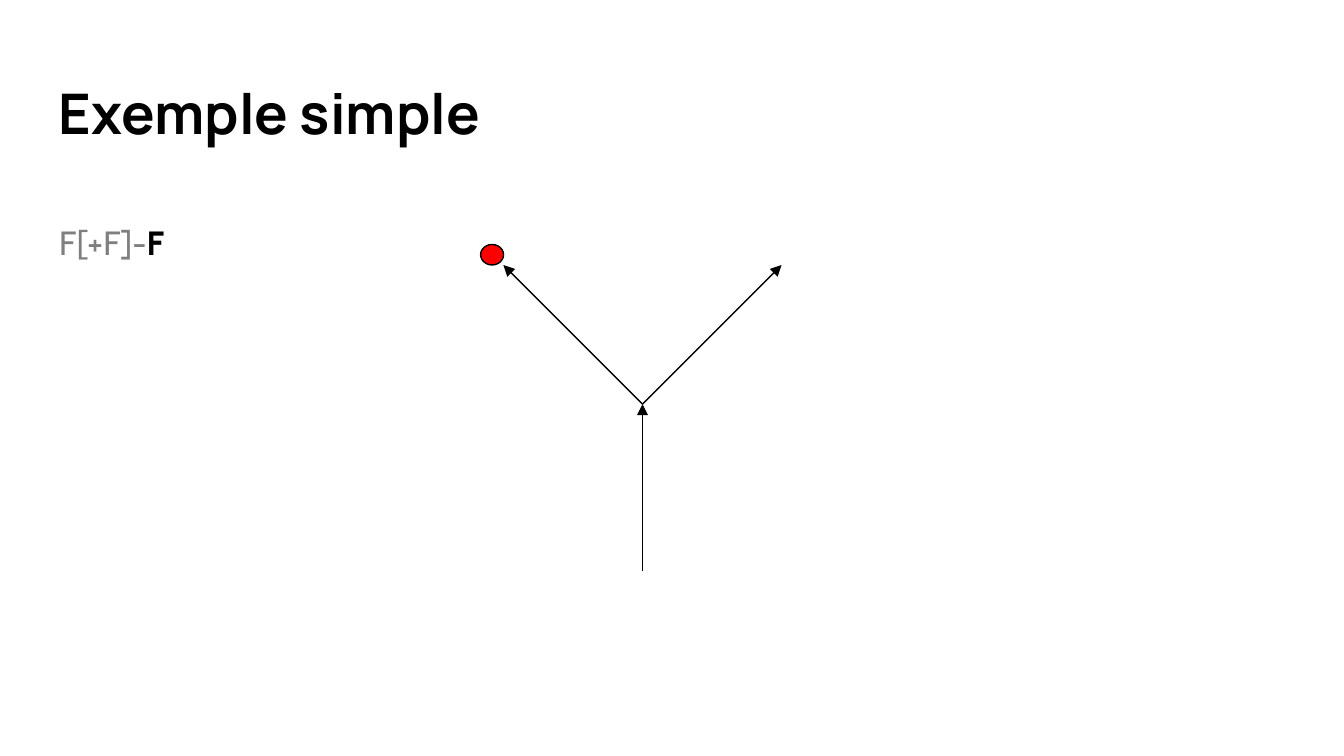
from dataclasses import dataclass

from pptx import Presentation
from pptx.dml.color import RGBColor
from pptx.enum.shapes import MSO_CONNECTOR, MSO_SHAPE
from pptx.enum.text import MSO_ANCHOR, PP_ALIGN
from pptx.oxml.ns import qn
from pptx.util import Pt

COLORS = {"ink": "000000", "done": "7F7F7F", "turtle": "FF0000"}
LINE_WIDTH = 0.75


@dataclass
class Run:
    text: str
    color: str = "ink"
    bold: bool = False


@dataclass
class TextBlock:
    top: float
    height: float
    font: str
    size: float
    runs: list[Run]
    anchor: MSO_ANCHOR = MSO_ANCHOR.TOP
    line_spacing: float = 1.0
    space_after: float = 0


@dataclass
class Segment:
    start: tuple[float, float]
    end: tuple[float, float]


def rgb(name: str) -> RGBColor:
    return RGBColor.from_string(COLORS[name])


def add_text(s, block: TextBlock) -> None:
    sp = s.shapes.add_textbox(Pt(24.5), Pt(block.top), Pt(671), Pt(block.height))
    tf = sp.text_frame
    tf.word_wrap = True
    tf.vertical_anchor = block.anchor
    tf.margin_left = tf.margin_right = tf.margin_top = tf.margin_bottom = Pt(7.2)
    p = tf.paragraphs[0]
    p.alignment = PP_ALIGN.LEFT
    p.line_spacing = block.line_spacing
    p.space_after = Pt(block.space_after)
    p.font.name = block.font
    p.font.size = Pt(block.size)
    for run in block.runs:
        r = p.add_run()
        r.text = run.text
        r.font.bold = run.bold
        r.font.color.rgb = rgb(run.color)


def add_arrow(s, segment: Segment) -> None:
    points = [Pt(v) for v in (*segment.start, *segment.end)]
    sp = s.shapes.add_connector(MSO_CONNECTOR.STRAIGHT, *points)
    sp.line.color.rgb = rgb("ink")
    sp.line.width = Pt(LINE_WIDTH)
    ln = sp.line._get_or_add_ln()
    ln.append(ln.makeelement(qn("a:tailEnd"), {"type": "triangle"}))
    props = ln.getparent()
    props.append(props.makeelement(qn("a:effectLst"), {}))


def add_turtle(s, left: float, top: float, width: float, height: float) -> None:
    sp = s.shapes.add_shape(MSO_SHAPE.OVAL, Pt(left), Pt(top), Pt(width), Pt(height))
    sp.shadow.inherit = False
    sp.fill.solid()
    sp.fill.fore_color.rgb = rgb("turtle")
    sp.line.color.rgb = rgb("ink")
    sp.line.width = Pt(LINE_WIDTH)


def main() -> None:
    prs = Presentation()
    prs.slide_width, prs.slide_height = Pt(720), Pt(405)
    s = prs.slides.add_slide(prs.slide_layouts[6])

    add_text(s, TextBlock(35.3, 49, "Manrope", 30, [Run("Exemple simple", bold=True)],
                          anchor=MSO_ANCHOR.MIDDLE))
    add_text(s, TextBlock(108.7, 269.3, "Cabin", 18,
                          [Run("F[+F]-", "done"), Run("F", bold=True)],
                          line_spacing=1.15, space_after=16))

    fork_x, fork_y, trunk, reach = 344.2, 216.5, 89.5, 74.5
    add_arrow(s, Segment((fork_x, fork_y + trunk), (fork_x, fork_y)))
    add_turtle(s, 257.5, 131, 12.3, 11)
    for side in (1, -1):
        tip = (fork_x + side * reach, fork_y - reach)
        add_arrow(s, Segment((fork_x, fork_y), tip))

    prs.save("out.pptx")


if __name__ == "__main__":
    main()
